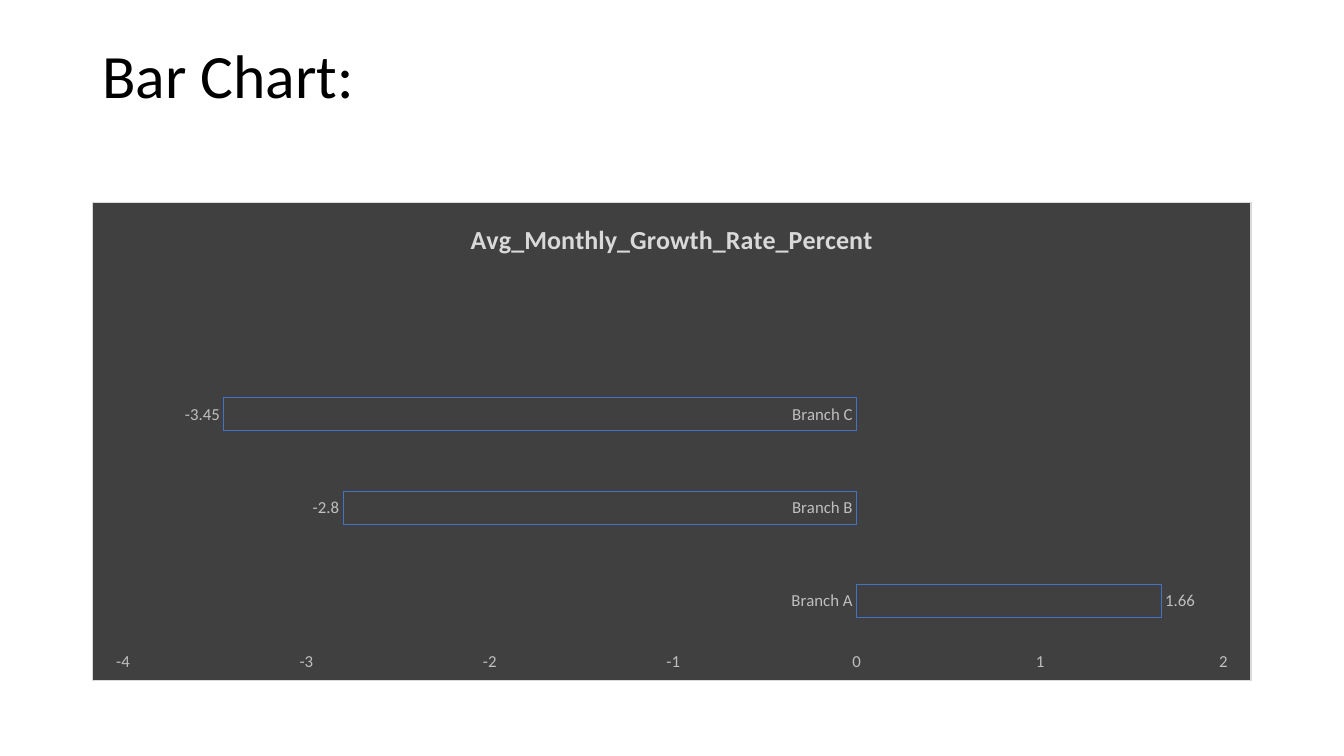
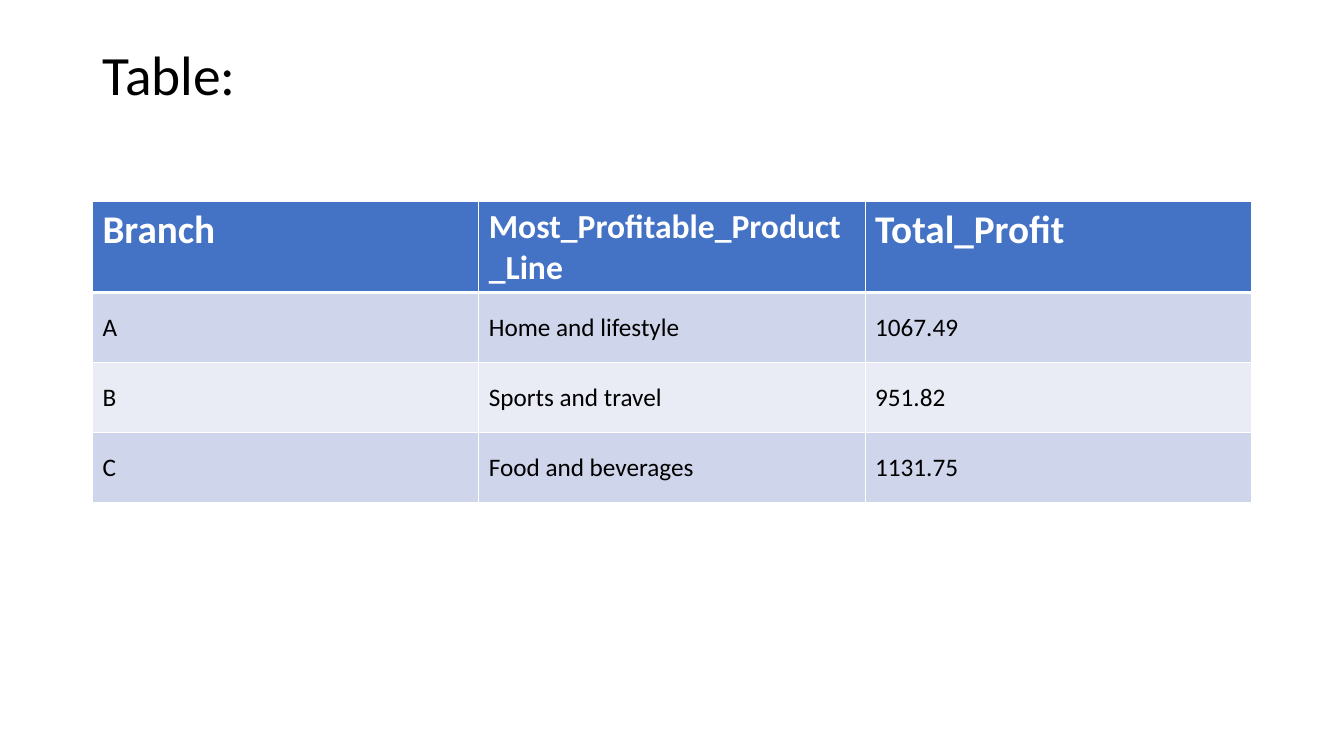
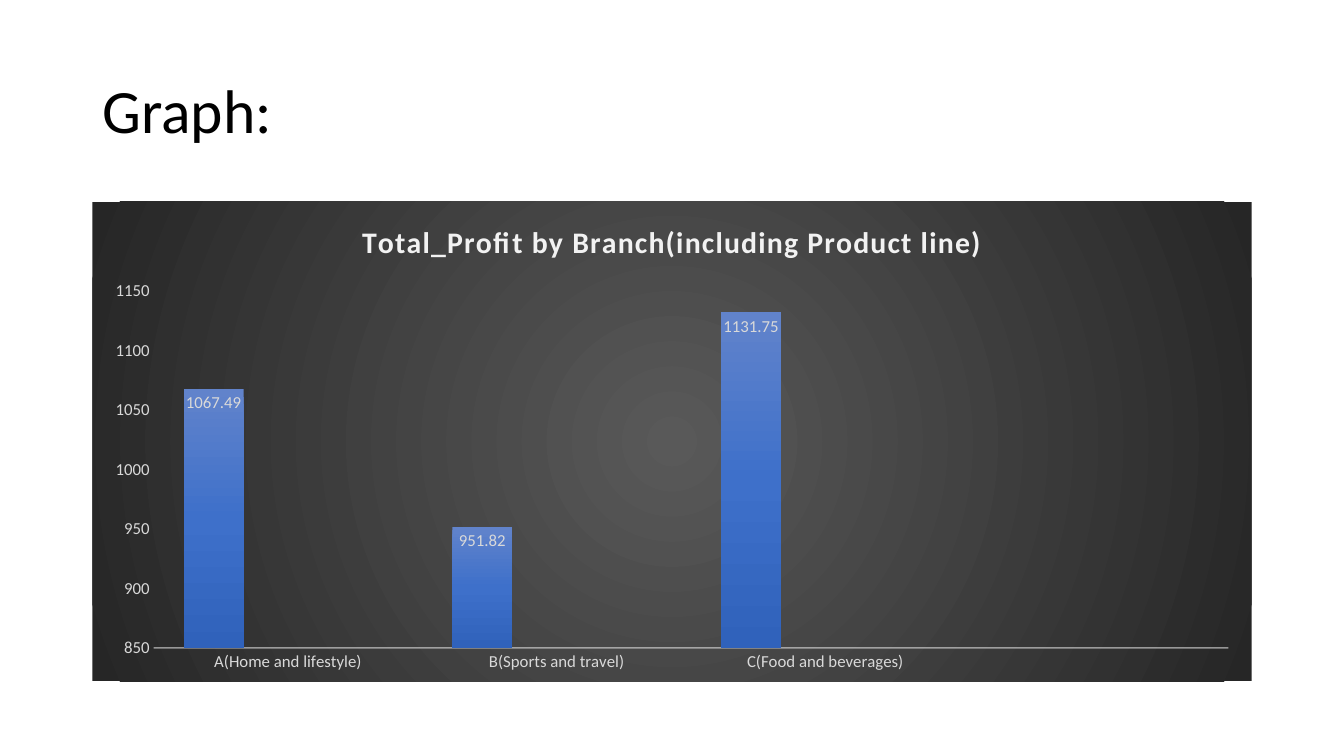
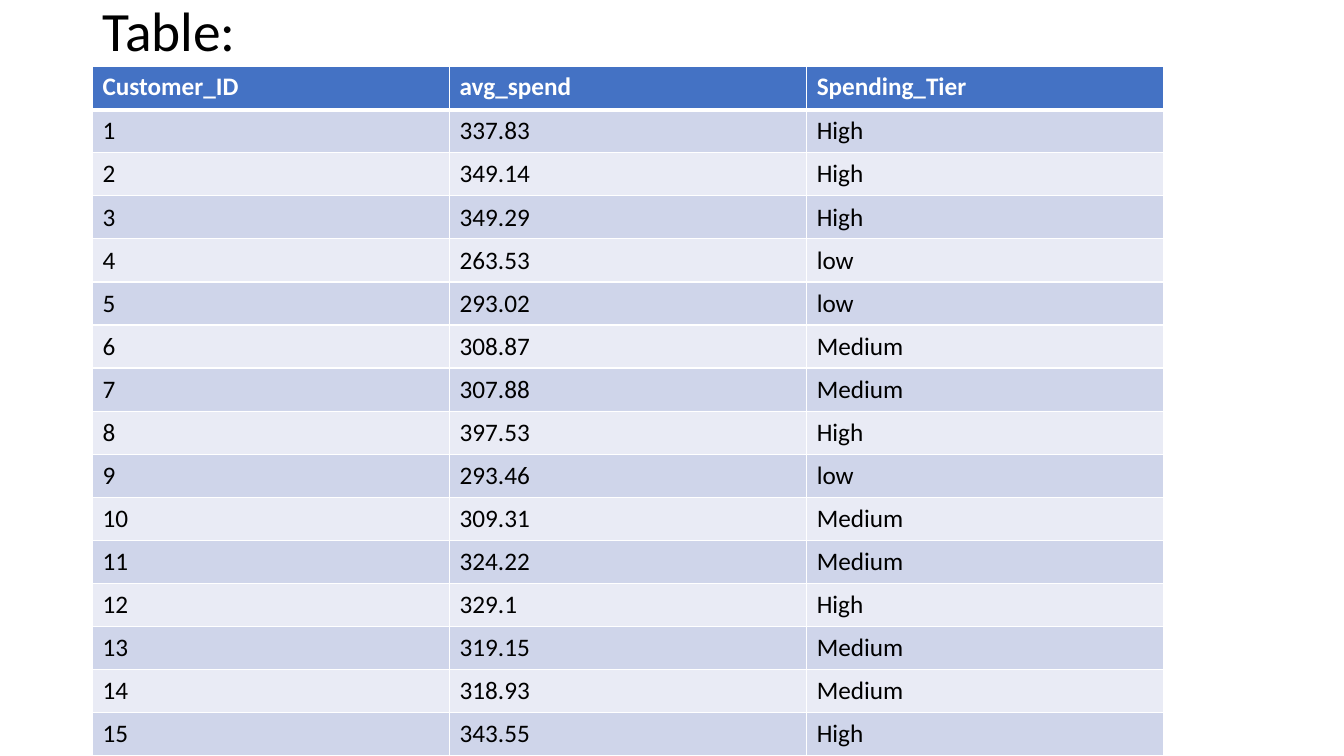
from lxml import etree
from pptx import Presentation
from pptx.chart.data import CategoryChartData
from pptx.dml.color import RGBColor
from pptx.enum.chart import XL_CHART_TYPE as ChartType
from pptx.enum.chart import XL_LABEL_POSITION as LabelPos
from pptx.enum.chart import XL_TICK_MARK as Tick
from pptx.enum.text import MSO_ANCHOR as Anchor
from pptx.oxml import parse_xml
from pptx.oxml.ns import nsdecls, qn
from pptx.util import Cm, Pt

# Shared look
FONT = "Calibri"
BLACK, WHITE, BLUE = "000000", "FFFFFF", "4472C4"
BANDS = ("CFD5EA", "E9EBF5")
LEFT, WIDTH = 2.33, 29.21
BODY_TOP, CHART_HEIGHT = 5.08, 12.09

# Content
BRANCH_HEAD = [("Branch", 28), ("Most_Profitable_Product_Line", 24), ("Total_Profit", 28)]
BRANCH_ROWS = [
    ("A", "Home and lifestyle", "1067.49"),
    ("B", "Sports and travel", "951.82"),
    ("C", "Food and beverages", "1131.75"),
]
SPEND_HEAD = [("Customer_ID", 18), ("avg_spend", 18), ("Spending_Tier", 18)]
SPEND = [
    ("337.83", "High"), ("349.14", "High"), ("349.29", "High"),
    ("263.53", "low"), ("293.02", "low"), ("308.87", "Medium"),
    ("307.88", "Medium"), ("397.53", "High"), ("293.46", "low"),
    ("309.31", "Medium"), ("324.22", "Medium"), ("329.1", "High"),
    ("319.15", "Medium"), ("318.93", "Medium"), ("343.55", "High"),
]
SPEND_ROWS = [(str(n), *row) for n, row in enumerate(SPEND, 1)]

GROWTH = {
    "type": ChartType.BAR_CLUSTERED,
    "cats": ["Branch A", "Branch B", "Branch C", ""],
    "series": [("Avg_Monthly_Growth_Rate_Percent", [1.66, -2.8, -3.45, None])],
    "title": ("Avg_Monthly_Growth_Rate_Percent", 18.6, "D9D9D9", 0),
    "scale": (-4, 2, 1), "gap": 182, "overlap": -50,
    "text": "BFBFBF", "labels": LabelPos.OUTSIDE_END,
}
EMPTY = [None] * 4
PROFIT = {
    "type": ChartType.COLUMN_CLUSTERED,
    "cats": ["A(Home and lifestyle)", "B(Sports and travel)", "C(Food and beverages)", ""],
    "series": [("Series 1", [1067.49, 951.82, 1131.75, None]),
               ("Series 2", EMPTY), ("Series 3", EMPTY)],
    "title": ("Total_Profit by Branch(including Product line)", 21.3, "F2F2F2", 100),
    "scale": (850, 1150, 50), "gap": 100, "overlap": -24,
    "text": "D9D9D9", "labels": LabelPos.INSIDE_END,
}
PROFIT_FILLS = [
    ("6183CB", "3E70CA", "3062BB"),
    ("F18C57", "F67B28", "E56C19"),
    ("AFAFAF", "A5A5A5", "939393"),
]
DOWNWARD = '<a:lin ang="5400000" scaled="0"/>'
FROM_CENTRE = ('<a:path path="circle"><a:fillToRect l="50000" t="50000" '
               'r="50000" b="50000"/></a:path>')


def rgb(color):
    return RGBColor.from_string(color)


def set_font(font, size, color, bold=False):
    font.name, font.size, font.bold = FONT, Pt(size), bold
    font.color.rgb = rgb(color)


def solid(color):
    return f'<a:solidFill><a:srgbClr val="{color}"/></a:solidFill>'


def gradient(colors, direction):
    step = 100000 // (len(colors) - 1)
    stops = "".join(f'<a:gs pos="{i * step}"><a:srgbClr val="{c}"/></a:gs>'
                    for i, c in enumerate(colors))
    return f'<a:gradFill rotWithShape="1"><a:gsLst>{stops}</a:gsLst>{direction}</a:gradFill>'


def add_title(slide, text, top, height, size, anchor=Anchor.MIDDLE):
    box = slide.shapes.add_textbox(Cm(LEFT), Cm(top), Cm(WIDTH), Cm(height))
    tf = box.text_frame
    tf.word_wrap, tf.vertical_anchor = True, anchor
    p = tf.paragraphs[0]
    p.line_spacing = 0.9
    r = p.add_run()
    r.text = text
    set_font(r.font, size, BLACK)


# Tables
def add_borders(cell, top, bottom):
    tc_pr = cell._tc.get_or_add_tcPr()
    for side, width in (("L", 1), ("R", 1), ("T", top), ("B", bottom)):
        tc_pr.append(parse_xml(
            f'<a:ln{side} {nsdecls("a")} w="{Pt(width)}">{solid(WHITE)}</a:ln{side}>'))


def fill_cell(cell, text, size, color, fill, bold, anchor, borders):
    add_borders(cell, *borders)
    cell.fill.solid()
    cell.fill.fore_color.rgb = rgb(fill)
    cell.vertical_anchor = anchor
    r = cell.text_frame.paragraphs[0].add_run()
    r.text = text
    set_font(r.font, size, color, bold)


def add_table(slide, head, rows, top, width, head_height, row_height):
    height = head_height + row_height * len(rows)
    table = slide.shapes.add_table(len(rows) + 1, len(head), Cm(LEFT), Cm(top),
                                   Cm(width), Cm(height)).table
    table.first_row = table.horz_banding = False
    for column in table.columns:
        column.width = Cm(width / len(head))
    for i, row in enumerate(table.rows):
        row.height = Cm(row_height if i else head_height)
    for j, (text, size) in enumerate(head):
        fill_cell(table.cell(0, j), text, size, WHITE, BLUE, True, Anchor.TOP, (1, 3))
    for i, row in enumerate(rows):
        for j, text in enumerate(row):
            fill_cell(table.cell(i + 1, j), text, 18, BLACK, BANDS[i % 2], False,
                      Anchor.MIDDLE, (1 if i else 3, 1))


# Charts
def add_chart(slide, spec_data, area):
    data = CategoryChartData()
    data.categories = spec_data["cats"]
    for name, values in spec_data["series"]:
        data.add_series(name, values)
    chart = slide.shapes.add_chart(spec_data["type"], Cm(LEFT), Cm(BODY_TOP),
                                   Cm(WIDTH), Cm(CHART_HEIGHT), data).chart
    chart.has_legend = False
    set_font(chart.font, 10, BLACK)
    chart.element.find(qn("c:chart")).addnext(
        parse_xml(f'<c:spPr {nsdecls("c", "a")}>{area}</c:spPr>'))

    text, size, color, spacing = spec_data["title"]
    chart.has_title = True
    r = chart.chart_title.text_frame.paragraphs[0].add_run()
    r.text = text
    set_font(r.font, size, color, True)
    r.font._element.set("spc", str(spacing))

    for axis in (chart.category_axis, chart.value_axis):
        axis.has_major_gridlines = False
        axis.major_tick_mark = axis.minor_tick_mark = Tick.NONE
        axis.format.line.fill.background()
        set_font(axis.tick_labels.font, 12, spec_data["text"])
    axis = chart.value_axis
    axis.minimum_scale, axis.maximum_scale, axis.major_unit = spec_data["scale"]

    plot = chart.plots[0]
    plot.vary_by_categories = False
    plot.gap_width, plot.overlap = spec_data["gap"], spec_data["overlap"]
    for series in plot.series:
        series.invert_if_negative = False
        labels = series.data_labels
        labels.show_value = True
        labels.position = spec_data["labels"]
        set_font(labels.font, 12, spec_data["text"])
    return chart


def growth_chart(slide):
    border = f'<a:ln w="{Pt(0.75)}">{solid("D9D9D9")}</a:ln>'
    chart = add_chart(slide, GROWTH, solid("404040") + border)
    bars = chart.plots[0].series[0].format
    bars.fill.background()
    bars.line.color.rgb = rgb(BLUE)
    bars.line.width = Pt(0.75)


def profit_chart(slide):
    area = gradient(("595959", "262626"), FROM_CENTRE) + "<a:ln><a:noFill/></a:ln>"
    chart = add_chart(slide, PROFIT, area)
    for series, colors in zip(chart.plots[0].series, PROFIT_FILLS):
        fill = gradient(colors, DOWNWARD).replace("<a:gradFill", f'<a:gradFill {nsdecls("a")}', 1)
        series._element.get_or_add_spPr().append(parse_xml(fill))
    # Half-transparent base line
    line = chart.category_axis.format.line
    line.color.rgb = rgb("F2F2F2")
    line.width = Pt(1)
    color = next(chart.category_axis._element.find(qn("c:spPr")).iter(qn("a:srgbClr")))
    etree.SubElement(color, qn("a:alpha")).set("val", "54000")


def main():
    prs = Presentation()
    prs.slide_width, prs.slide_height = Cm(33.87), Cm(19.05)
    bar, branches, graph, spending = [
        prs.slides.add_slide(prs.slide_layouts[6]) for _ in range(4)]

    add_title(bar, "Bar Chart:", 1.01, 3.68, 44, Anchor.TOP)
    growth_chart(bar)

    add_title(branches, "Table:", 1.01, 1.88, 39.6)
    add_table(branches, BRANCH_HEAD, BRANCH_ROWS, BODY_TOP, WIDTH, 2.28, 1.77)

    add_title(graph, "Graph:", 1.01, 3.68, 44)
    profit_chart(graph)

    add_title(spending, "Table:", 0, 1.68, 39.6)
    row_height = 17.37 / (len(SPEND_ROWS) + 1)
    add_table(spending, SPEND_HEAD, SPEND_ROWS, 1.68, 27, row_height, row_height)

    prs.save("out.pptx")


if __name__ == "__main__":
    main()
